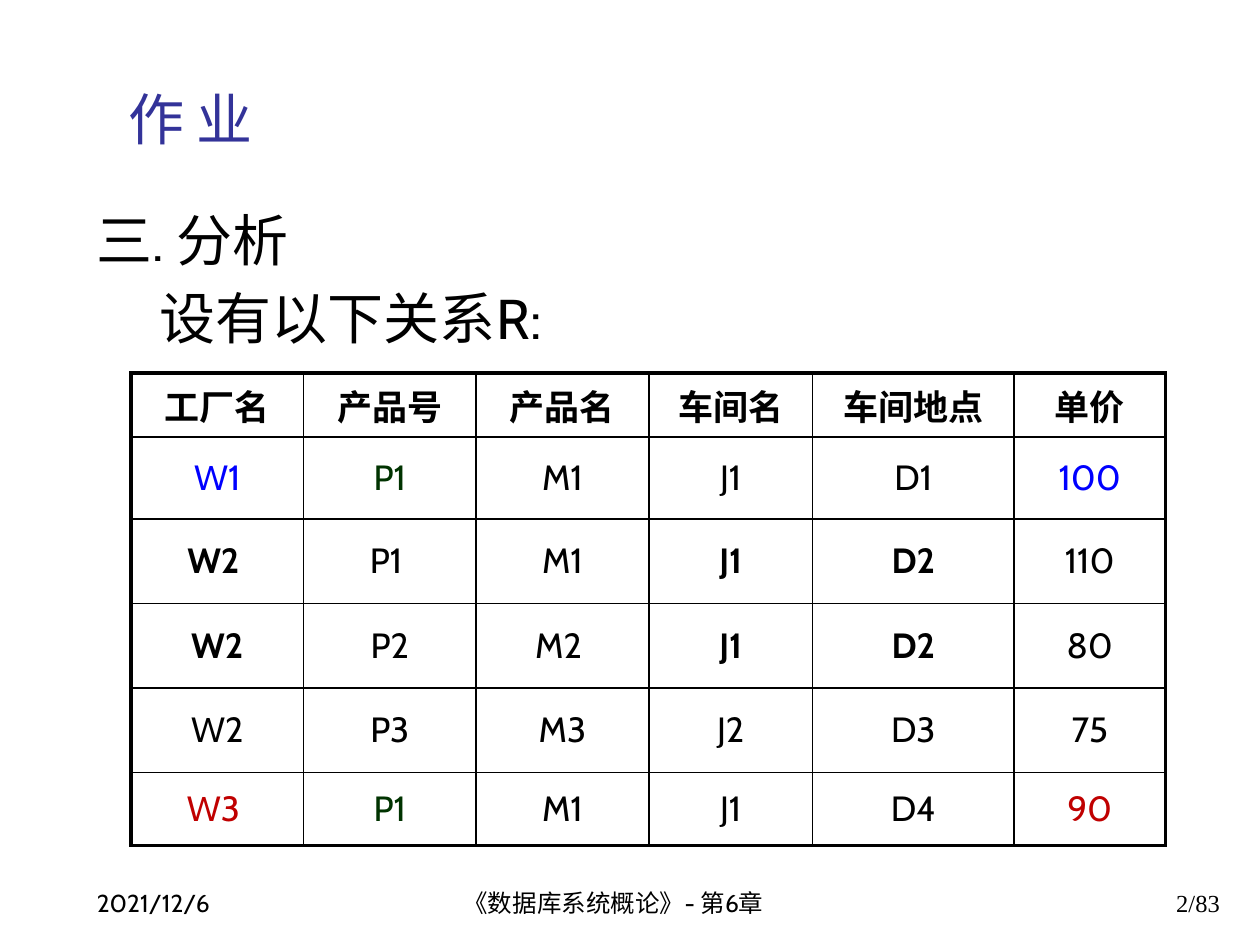
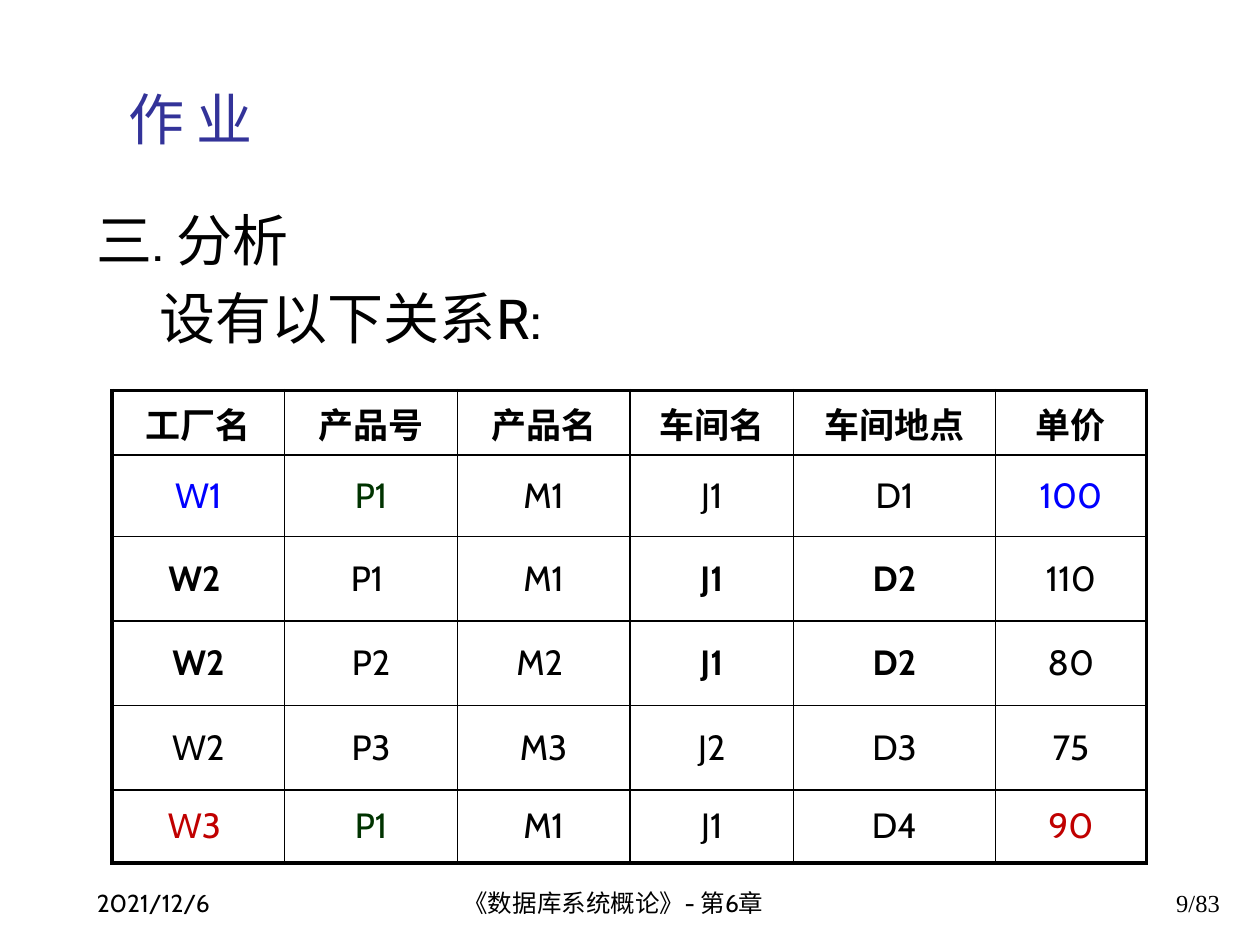
from lxml.etree import SubElement
from pptx import Presentation
from pptx.dml.color import RGBColor
from pptx.enum.text import MSO_ANCHOR, PP_ALIGN
from pptx.oxml.ns import qn
from pptx.util import Inches, Pt

# Content
TITLE = "作 业"
BODY = ["三. 分析", "\t设有以下关系R:"]
DATE = "2021/12/6"
COURSE = "《数据库系统概论》- 第6章"
PAGES = [  # page number, table left and top
    ("2/83", 10.4, 39.47),
    ("9/83", 8.9, 41.33),
]
RELATION = [
    ("工厂名", "产品号", "产品名", "车间名", "车间地点", "单价"),
    ("W1", "P1", "M1", "J1", "D1", "100"),
    ("W2 ", "P1 ", "M1", "J1", "D2", "110"),
    ("W2", "P2", "M2 ", "J1", "D2", "80"),
    ("W2", "P3", "M3", "J2", "D3", "75"),
    ("W3 ", "P1", "M1", "J1", "D4", "90"),
]
CELL_COLORS = {
    (1, 0): "blue", (1, 1): "green", (1, 5): "blue",
    (5, 0): "red", (5, 1): "green", (5, 5): "red",
}
BOLD_COLUMNS = {0: range(6), 2: (0, 3, 4), 3: (0, 3, 4)}  # by row

# Style; all positions are percentages of the slide
COLORS = {"title": "333399", "text": "000000", "blue": "0000FF",
          "green": "003300", "red": "C00000"}
FONT, NUMBER_FONT = "Cabin", "Times New Roman"
COLUMN_SHARES = (13.7, 13.7, 13.7, 13, 16, 12)
ROW_SHARES = (6.8, 8.67, 8.93, 8.93, 8.93, 7.73)
FOOTER_TOP, FOOTER_HEIGHT = 91.1, 6.67
OUTER_LINE, INNER_LINE = Pt(2.25), Pt(1)

deck = Presentation()
deck.slide_width, deck.slide_height = Inches(10), Inches(7.5)


def across(share):
    return int(deck.slide_width * share / 100)


def down(share):
    return int(deck.slide_height * share / 100)


def format_paragraph(para, size, color="text", font=FONT, bold=False,
                     align=PP_ALIGN.LEFT, space_share=0):
    para.alignment = align
    para.space_before = Pt(size * space_share)
    for span in para.runs:
        span.font.size = Pt(size)
        span.font.name = font
        span.font.bold = bold
        span.font.color.rgb = RGBColor.from_string(COLORS[color])


def add_text(page, lines, left, top, width, height, size,
             anchor=MSO_ANCHOR.BOTTOM, **style):
    box = page.shapes.add_textbox(across(left), down(top), across(width), down(height))
    frame = box.text_frame
    frame.word_wrap = True
    frame.vertical_anchor = anchor
    frame.text = "\n".join(lines)
    for para in frame.paragraphs:
        format_paragraph(para, size, **style)


def draw_borders(cell, outer_sides):
    properties = cell._tc.get_or_add_tcPr()
    for position, side in enumerate("LRTB"):
        width = OUTER_LINE if side in outer_sides else INNER_LINE
        line = SubElement(properties, qn(f"a:ln{side}"), w=str(int(width)))
        fill = SubElement(line, qn("a:solidFill"))
        SubElement(fill, qn("a:srgbClr"), val=COLORS["text"])
        properties.insert(position, line)  # borders precede the fill


def add_relation(page, left, top):
    last_row, last_column = len(ROW_SHARES) - 1, len(COLUMN_SHARES) - 1
    table = page.shapes.add_table(
        len(ROW_SHARES), len(COLUMN_SHARES), across(left), down(top),
        across(sum(COLUMN_SHARES)), down(sum(ROW_SHARES))).table
    table.first_row = table.horz_banding = False
    for column, share in zip(table.columns, COLUMN_SHARES):
        column.width = across(share)
    for row, share in zip(table.rows, ROW_SHARES):
        row.height = down(share)
    for r, values in enumerate(RELATION):
        for c, value in enumerate(values):
            cell = table.cell(r, c)
            cell.text_frame.text = value
            cell.vertical_anchor = MSO_ANCHOR.MIDDLE
            cell.fill.background()
            format_paragraph(cell.text_frame.paragraphs[0], 20,
                             CELL_COLORS.get((r, c), "text"),
                             bold=c in BOLD_COLUMNS.get(r, ()),
                             align=PP_ALIGN.CENTER, space_share=0.2)
            edges = {"L": c == 0, "R": c == last_column,
                     "T": r == 0, "B": r == last_row}
            draw_borders(cell, [side for side, outer in edges.items() if outer])


def add_footer(page, text, left, width, **style):
    add_text(page, [text], left, FOOTER_TOP, width, FOOTER_HEIGHT, 14, **style)


# Pages
for number, table_left, table_top in PAGES:
    page = deck.slides.add_slide(deck.slide_layouts[6])
    add_text(page, [TITLE], 9.2, 5.6, 88.6, 11.07, 32, color="title")
    add_text(page, BODY, 6.7, 21.07, 44.8, 68.27, 32,
             anchor=MSO_ANCHOR.TOP, space_share=0.2)
    add_relation(page, table_left, table_top)
    add_footer(page, DATE, 6.7, 20.8)
    add_footer(page, COURSE, 35.8, 31.7)
    add_footer(page, number, 77, 20.8, font=NUMBER_FONT, align=PP_ALIGN.RIGHT)

deck.save("out.pptx")
